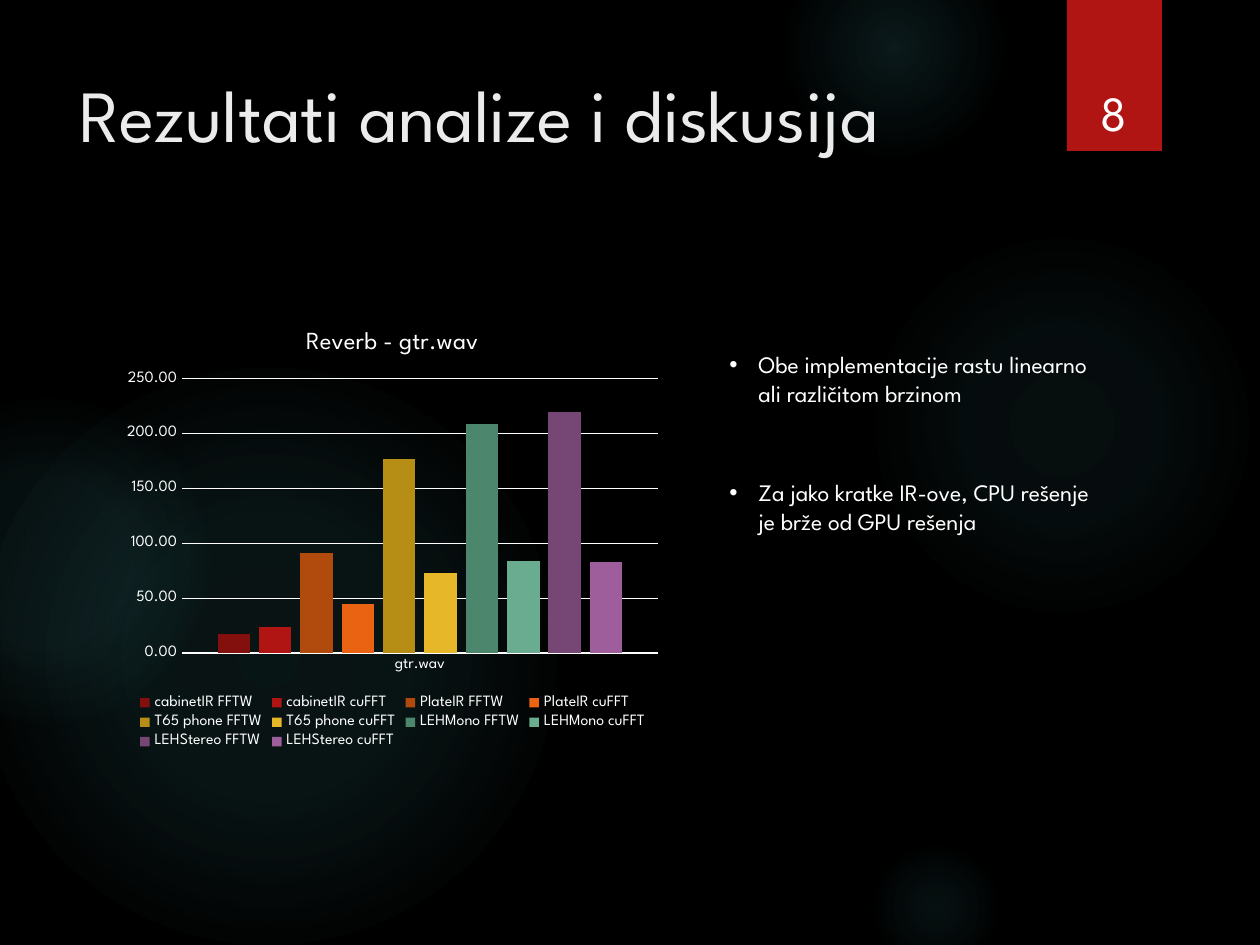
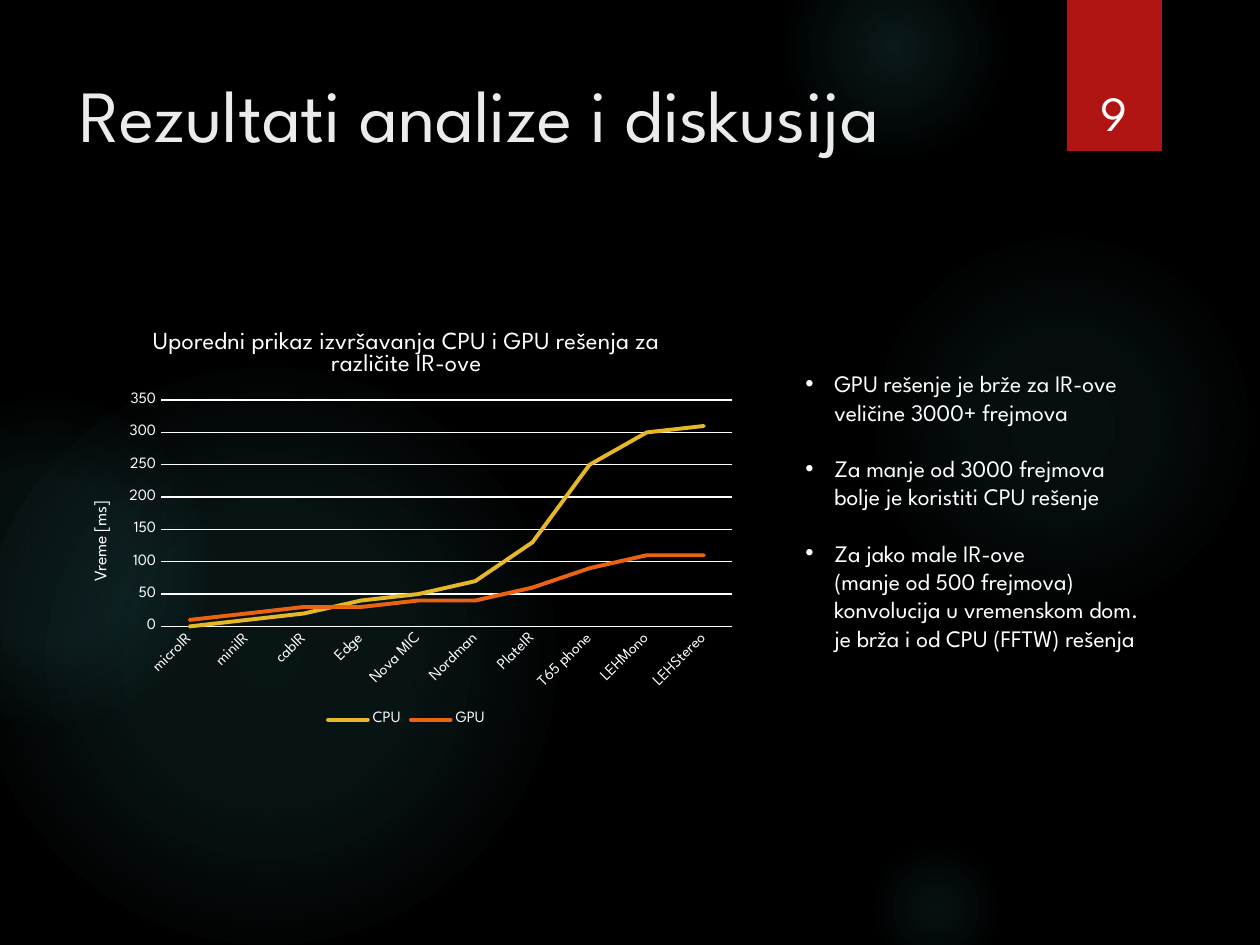
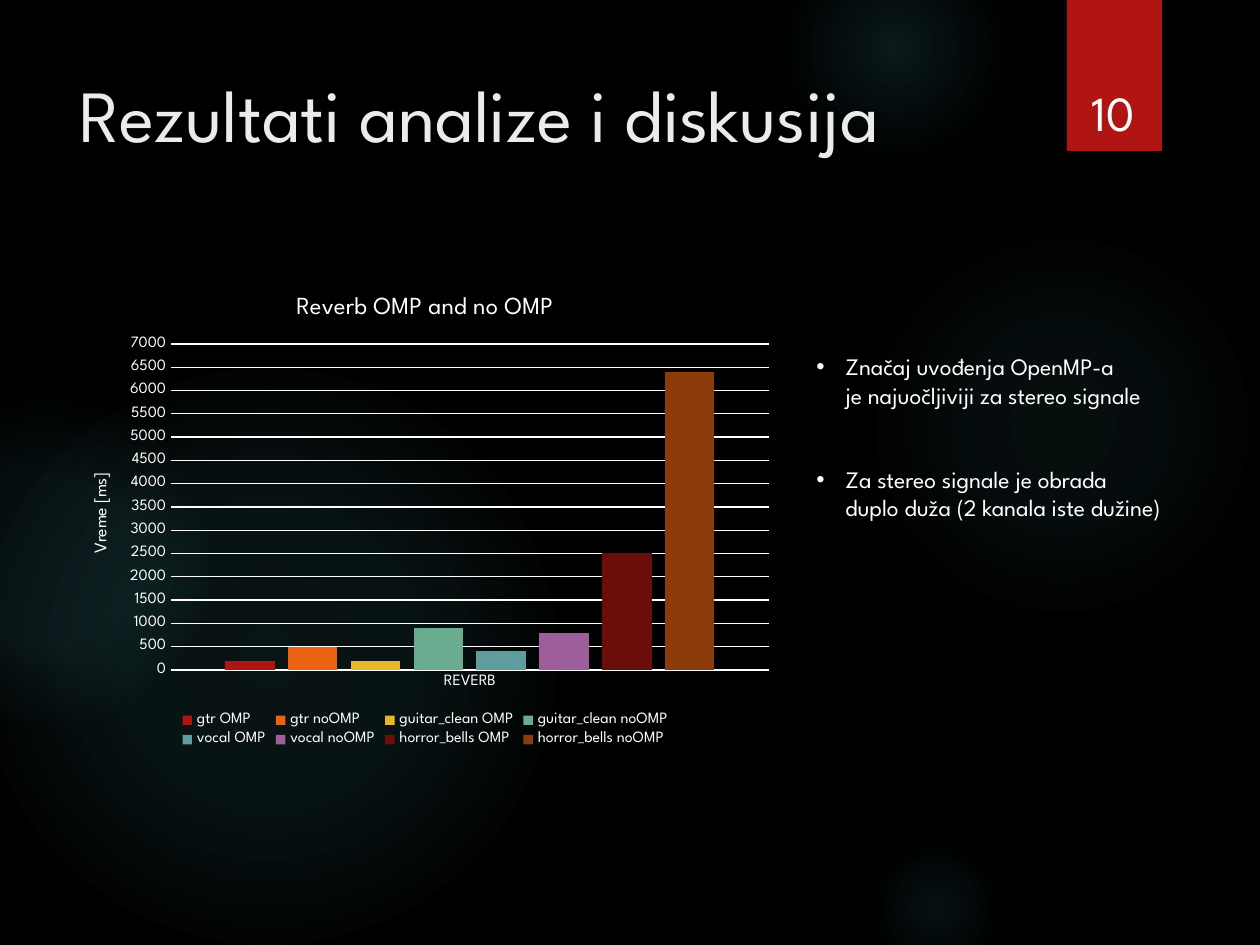
from copy import deepcopy
from dataclasses import dataclass

from pptx import Presentation
from pptx.chart.data import CategoryChartData as Data
from pptx.dml.color import RGBColor as Rgb
from pptx.enum.chart import XL_CHART_TYPE as Kind, XL_LEGEND_POSITION as Legend
from pptx.enum.chart import XL_TICK_MARK as Tick
from pptx.enum.shapes import MSO_SHAPE as Shape
from pptx.enum.text import MSO_ANCHOR as Anchor, MSO_AUTO_SIZE as Fit, PP_ALIGN as Align
from pptx.oxml import parse_xml
from pptx.oxml.ns import nsdecls, qn
from pptx.util import Emu, Pt


@dataclass(frozen=True)
class Theme:
    font: str = "League Spartan"
    back: str = "000000"
    text: str = "FFFFFF"
    title: str = "EBEBEB"
    red: str = "B01513"
    glow: str = "50B9C1"
    orange: str = "EA6312"
    gold: str = "E6B729"
    green: str = "6AAC90"
    teal: str = "5F9C9D"
    plum: str = "9E5E9B"
    head: float = 42
    page: float = 28
    body: float = 13.5
    large: float = 14
    axis: float = 10
    small: float = 9
    thin: float = 0.75
    thick: float = 2.25


T = Theme()
SCALE = 914400 / 126
HEAD = "Rezultati analize i diskusija"
TIME = "Vreme [ms]"
GLOWS = [
    (868, 231, 388, [(0, 7), (36, 6), (69, 0)]),
    (784, -63, 220, [(0, 14), (36, 7), (73, 0)]),
    (868, 840, 136, [(0, 9), (36, 5), (66, 0)]),
    (-21, 368, 577, [(0, 11), (36, 10), (75, 0)]),
    (-116, 399, 325, [(0, 8), (36, 8), (72, 0)]),
]


def px(*sizes):
    return [Emu(round(size * SCALE)) for size in sizes]


def style(font, size, color=T.text):
    font.name = T.font
    font.size = Pt(size)
    font.bold = False
    font.color.rgb = Rgb.from_string(color)


def paint(fill, color):
    fill.solid()
    fill.fore_color.rgb = Rgb.from_string(color)


def stroke(line, color, width):
    paint(line.fill, color)
    line.width = Pt(width)


def bullet(par):
    props = par._p.get_or_add_pPr()
    indent = px(29)[0]
    props.set("marL", str(indent))
    props.set("indent", str(-indent))
    props.append(parse_xml(f'<a:buFont {nsdecls("a")} typeface="Arial"/>'))
    props.append(parse_xml(f'<a:buChar {nsdecls("a")} char="•"/>'))


def write(slide, box, text, size=T.body, color=T.text, align=Align.LEFT,
          anchor=Anchor.TOP, dots=False, gap=0):
    frame = slide.shapes.add_textbox(*px(*box)).text_frame
    frame.word_wrap = not dots
    frame.auto_size = Fit.SHAPE_TO_FIT_TEXT if dots else Fit.NONE
    frame.vertical_anchor = anchor
    for num, part in enumerate([text] if isinstance(text, str) else text):
        par = frame.add_paragraph() if num else frame.paragraphs[0]
        par.text = part
        par.alignment = align
        if num:
            par.space_before = Pt(gap)
        if dots:
            bullet(par)
        for run in par.runs:
            style(run.font, size, color)
        for stop in par._p.findall(qn("a:br")):
            stop.insert(0, deepcopy(par.runs[0]._r.rPr))


def plain(slide, kind, box, color):
    shape = slide.shapes.add_shape(kind, *px(*box))
    shape.shadow.inherit = False
    shape.line.fill.background()
    paint(shape.fill, color)
    return shape


def glow(slide, left, top, size, stops):
    shape = plain(slide, Shape.OVAL, (left, top, size, size), T.glow)
    marks = "".join(
        f'<a:gs pos="{pos * 1000}"><a:srgbClr val="{T.glow}">'
        f'<a:alpha val="{alpha * 1000}"/></a:srgbClr></a:gs>'
        for pos, alpha in stops)
    grad = parse_xml(
        f'<a:gradFill {nsdecls("a")} rotWithShape="1"><a:gsLst>{marks}</a:gsLst>'
        '<a:path path="circle"><a:fillToRect l="50000" t="50000" r="50000" b="50000"/>'
        '</a:path></a:gradFill>')
    props = shape._element.spPr
    props.replace(props.find(qn("a:solidFill")), grad)
    return shape


def dress(deck, slide):
    master = deck.slide_master
    paint(master.background.fill, T.back)
    shapes = [glow(slide, *row) for row in GLOWS]
    shapes.append(plain(slide, Shape.RECTANGLE, (1067, 0, 95, 151), T.red))
    for shape in shapes:
        master.shapes._spTree.append(shape._element)


def label(owner, text, size):
    owner.has_title = True
    title = owner.chart_title if hasattr(owner, "chart_title") else owner.axis_title
    title.text_frame.text = text
    style(title.text_frame.paragraphs[0].runs[0].font, size)
    return title.text_frame


def turn(body, angle):
    body.find(qn("a:bodyPr")).set("rot", str(angle * 60000))


def axes(chart, top, step, form, unit, slant):
    cat, val = chart.category_axis, chart.value_axis
    for axis in (cat, val):
        axis.major_tick_mark = axis.minor_tick_mark = Tick.NONE
        style(axis.tick_labels.font, T.small)
    stroke(cat.format.line, T.text, T.thin)
    cat.has_major_gridlines = False
    if slant:
        turn(cat._element.find(qn("c:txPr")), slant)
    val.format.line.fill.background()
    val.has_major_gridlines = True
    stroke(val.major_gridlines.format.line, T.text, T.thin)
    val.minimum_scale, val.maximum_scale, val.major_unit = 0, top, step
    val.tick_labels.number_format = form
    val.tick_labels.number_format_is_linked = False
    if unit:
        turn(label(val, unit, T.axis)._txBody, -90)


def plot(slide, box, kind, title, cats, rows, top, step, form="0", unit=None, slant=0):
    data = Data()
    data.categories = cats
    for name, vals, _ in rows:
        data.add_series(name, vals)
    chart = slide.shapes.add_chart(kind, *px(*box), data).chart
    style(chart.font, T.axis)
    label(chart, title, T.large)
    chart.has_legend = True
    chart.legend.position = Legend.BOTTOM
    chart.legend.include_in_layout = False
    style(chart.legend.font, T.small)
    axes(chart, top, step, form, unit, slant)
    group = chart.plots[0]
    group.vary_by_categories = False
    lines = kind == Kind.LINE
    if not lines:
        group.gap_width, group.overlap = 219, -27
    for series, (_, _, color) in zip(group.series, rows):
        if lines:
            series.smooth = False
            stroke(series.format.line, color, T.thick)
            series._element.spPr.find(qn("a:ln")).set("cap", "rnd")
        else:
            paint(series.format.fill, color)


def page(deck, num):
    slide = deck.slides.add_slide(deck.slide_layouts[6])
    if len(deck.slides) == 1:
        dress(deck, slide)
    write(slide, (67, 63, 973, 193), HEAD, size=T.head, color=T.title)
    write(slide, (1070, 41, 87, 106), str(num), size=T.page,
          align=Align.CENTER, anchor=Anchor.BOTTOM)
    return slide


def reverb(deck):
    slide = page(deck, 8)
    write(slide, (717, 472, 446, 71),
          "Za jako kratke IR-ove, CPU rešenje\nje brže od GPU rešenja", dots=True)
    write(slide, (717, 344, 457, 71),
          "Obe implementacije rastu linearno\nali različitom brzinom", dots=True)
    pairs = [
        ("cabinetIR", 17, 24, "84100E", T.red),
        ("PlateIR", 91, 45, "B04A0D", T.orange),
        ("T65 phone", 177, 73, "B68E15", T.gold),
        ("LEHMono", 209, 84, "4B866D", T.green),
        ("LEHStereo", 220, 83, "764674", T.plum),
    ]
    rows = []
    for name, cpu, gpu, dark, light in pairs:
        rows += [(f"{name} FFTW", [cpu], dark), (f"{name} cuFFT", [gpu], light)]
    plot(slide, (116, 310, 553, 444), Kind.COLUMN_CLUSTERED, "Reverb - gtr.wav",
         ["gtr.wav"], rows, 250, 50, form="0.00")


def compare(deck):
    slide = page(deck, 9)
    cats = ["microIR", "miniIR", "cabIR", "Edge", "Nova MIC", "Nordman",
            "PlateIR", "T65 phone", "LEHMono", "LEHStereo"]
    rows = [
        ("CPU", [0, 10, 20, 40, 50, 70, 130, 250, 300, 310], T.gold),
        ("GPU", [10, 20, 30, 30, 40, 40, 60, 90, 110, 110], T.orange),
    ]
    plot(slide, (67, 310, 679, 422), Kind.LINE,
         "Uporedni prikaz izvršavanja CPU i GPU rešenja za različite IR-ove",
         cats, rows, 350, 50, unit=TIME, slant=-45)
    write(slide, (793, 363, 430, 328), [
        "GPU rešenje je brže za IR-ove\nveličine 3000+ frejmova",
        "Za manje od 3000 frejmova\nbolje je koristiti CPU rešenje",
        "Za jako male IR-ove\n(manje od 500 frejmova)\n"
        "konvolucija u vremenskom dom.\nje brža i od CPU (FFTW) rešenja",
    ], dots=True, gap=16)


def threads(deck):
    slide = page(deck, 10)
    pairs = [
        ("gtr", 200, 500, T.red, T.orange),
        ("guitar_clean", 200, 900, T.gold, T.green),
        ("vocal", 400, 800, T.teal, T.plum),
        ("horror_bells", 2500, 6400, "6A0D0B", "8C3B0B"),
    ]
    rows = []
    for name, fast, slow, left, right in pairs:
        rows += [(f"{name} OMP", [fast], left), (f"{name} noOMP", [slow], right)]
    plot(slide, (67, 274, 716, 478), Kind.COLUMN_CLUSTERED, "Reverb OMP and no OMP",
         ["REVERB"], rows, 7000, 500, unit=TIME)
    write(slide, (804, 346, 438, 184), [
        "Značaj uvođenja OpenMP-a\nje najuočljiviji za stereo signale",
        "Za stereo signale je obrada\nduplo duža (2 kanala iste dužine)",
    ], dots=True, gap=32)


def main():
    deck = Presentation()
    deck.slide_width, deck.slide_height = px(1260, 945)
    reverb(deck)
    compare(deck)
    threads(deck)
    deck.save("out.pptx")


main()
